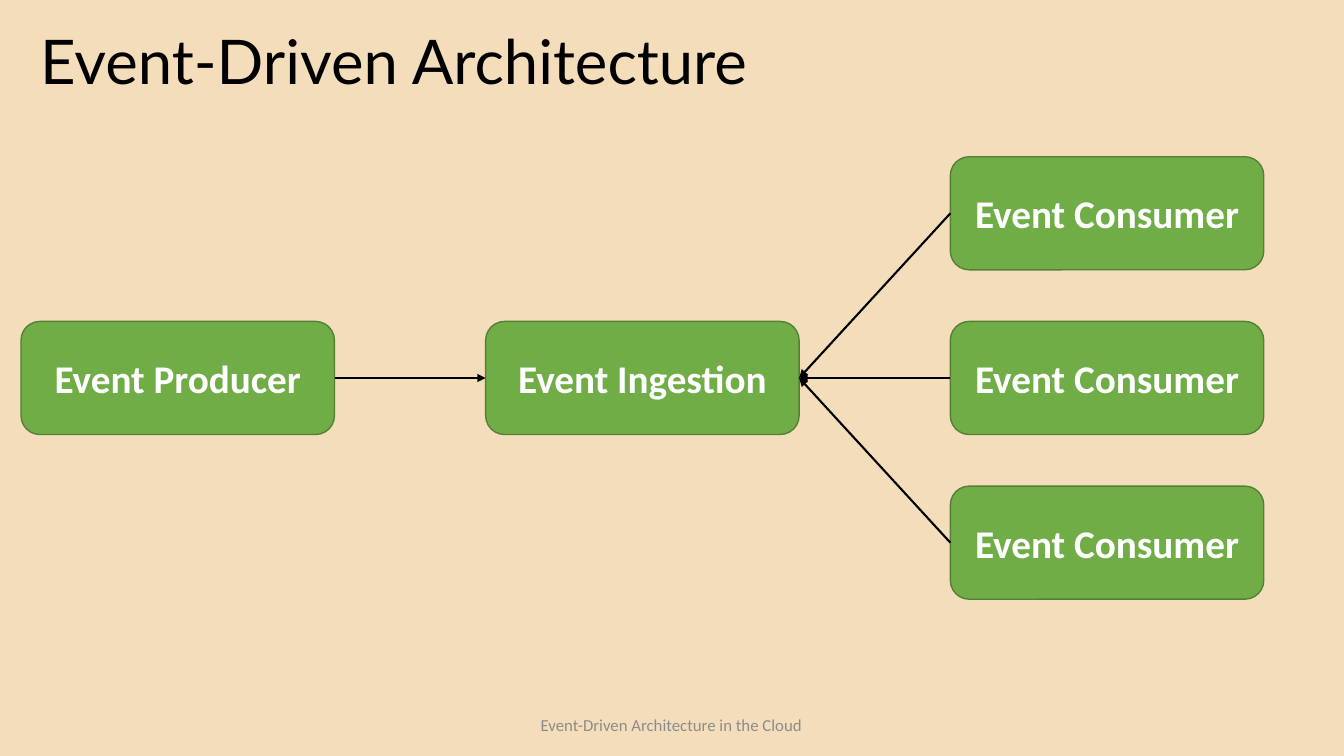
from lxml.etree import SubElement
from pptx import Presentation
from pptx.dml.color import RGBColor
from pptx.enum.shapes import MSO_CONNECTOR, MSO_SHAPE
from pptx.enum.text import MSO_ANCHOR, MSO_AUTO_SIZE, PP_ALIGN
from pptx.oxml.ns import qn
from pptx.util import Cm, Pt

TITLE = "Event-Driven Architecture"
FOOTER = "Event-Driven Architecture in the Cloud"
STAGES = [
    ("producer", "Event Producer", 0, 1),
    ("ingestion", "Event Ingestion", 1, 1),
    ("top consumer", "Event Consumer", 2, 0),
    ("middle consumer", "Event Consumer", 2, 1),
    ("bottom consumer", "Event Consumer", 2, 2),
]
LEFT_SITE, RIGHT_SITE = 1, 3
ARROWS = [
    ("producer", RIGHT_SITE, "ingestion", LEFT_SITE),
    ("top consumer", LEFT_SITE, "ingestion", RIGHT_SITE),
    ("middle consumer", LEFT_SITE, "ingestion", RIGHT_SITE),
    ("bottom consumer", LEFT_SITE, "ingestion", RIGHT_SITE),
]
GRID_LEFT, GRID_TOP = 0.53, 3.95
COLUMN_STEP, ROW_STEP = 11.71, 4.15
BOX_WIDTH, BOX_HEIGHT = 7.9, 2.85


def color(value):
    return RGBColor.from_string(value)


def write(frame, text, size, font_name, font_color, alignment, bold=False):
    frame.text = text
    para = frame.paragraphs[0]
    para.alignment = alignment
    font = para.runs[0].font
    font.size = Pt(size)
    font.name = font_name
    font.bold = bold
    font.color.rgb = color(font_color)
    return para


def add_stage(slide, label, column, row):
    box = slide.shapes.add_shape(
        MSO_SHAPE.ROUNDED_RECTANGLE,
        Cm(GRID_LEFT + column * COLUMN_STEP), Cm(GRID_TOP + row * ROW_STEP),
        Cm(BOX_WIDTH), Cm(BOX_HEIGHT))
    box.shadow.inherit = False
    box.fill.solid()
    box.fill.fore_color.rgb = color("70AD47")
    box.line.color.rgb = color("538035")
    box.line.width = Pt(1)
    box.text_frame.vertical_anchor = MSO_ANCHOR.MIDDLE
    write(box.text_frame, label, 28, "Calibri", "FFFFFF", PP_ALIGN.CENTER, True)
    return box


def add_arrow(slide, source, source_site, target, target_site):
    arrow = slide.shapes.add_connector(MSO_CONNECTOR.STRAIGHT, 0, 0, 0, 0)
    arrow.begin_connect(source, source_site)
    arrow.end_connect(target, target_site)
    arrow.line.color.rgb = color("000000")
    arrow.line.width = Pt(1.5)
    SubElement(arrow.line._get_or_add_ln(), qn("a:tailEnd"), type="triangle")
    SubElement(arrow._element.spPr, qn("a:effectLst"))


def main():
    deck = Presentation()
    deck.slide_width, deck.slide_height = Cm(33.87), Cm(19.05)
    slide = deck.slides.add_slide(deck.slide_layouts[5])
    slide.background.fill.solid()
    slide.background.fill.fore_color.rgb = color("F4DDBB")

    title = slide.shapes.title
    title.left, title.top, title.width, title.height = Cm(0.76), Cm(0.61), Cm(32.31), Cm(2.03)
    para = write(title.text_frame, TITLE, 44, "Lato", "000000", PP_ALIGN.LEFT)
    para.line_spacing = 0.9
    title.text_frame.vertical_anchor = MSO_ANCHOR.MIDDLE
    title.text_frame.auto_size = MSO_AUTO_SIZE.NONE

    footer = slide.shapes.add_textbox(Cm(13.34), Cm(17.88), Cm(7.16), Cm(0.76))
    write(footer.text_frame, FOOTER, 12, "Calibri", "8C8C8C", PP_ALIGN.CENTER)
    footer.text_frame.word_wrap = False
    footer.text_frame.auto_size = MSO_AUTO_SIZE.SHAPE_TO_FIT_TEXT

    boxes = {name: add_stage(slide, label, column, row)
             for name, label, column, row in STAGES}
    for source, source_site, target, target_site in ARROWS:
        add_arrow(slide, boxes[source], source_site, boxes[target], target_site)

    deck.save("out.pptx")


if __name__ == "__main__":
    main()
